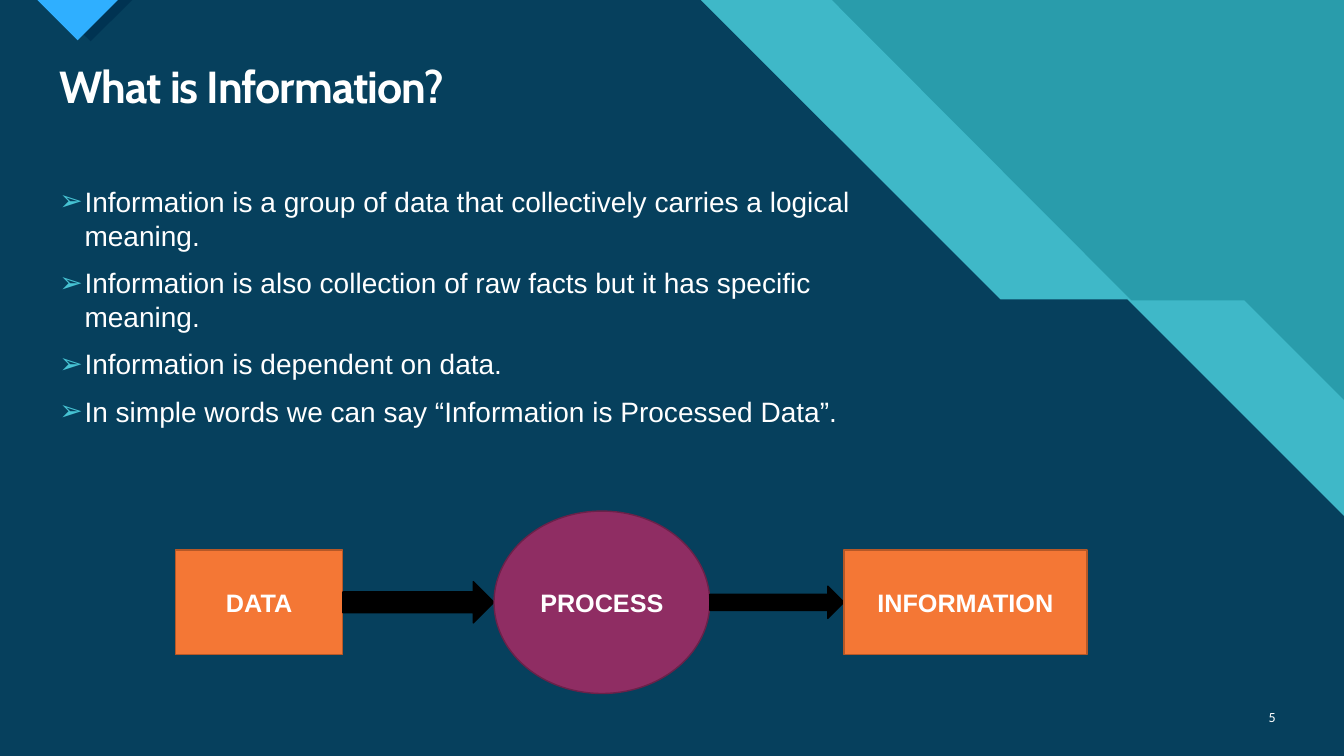
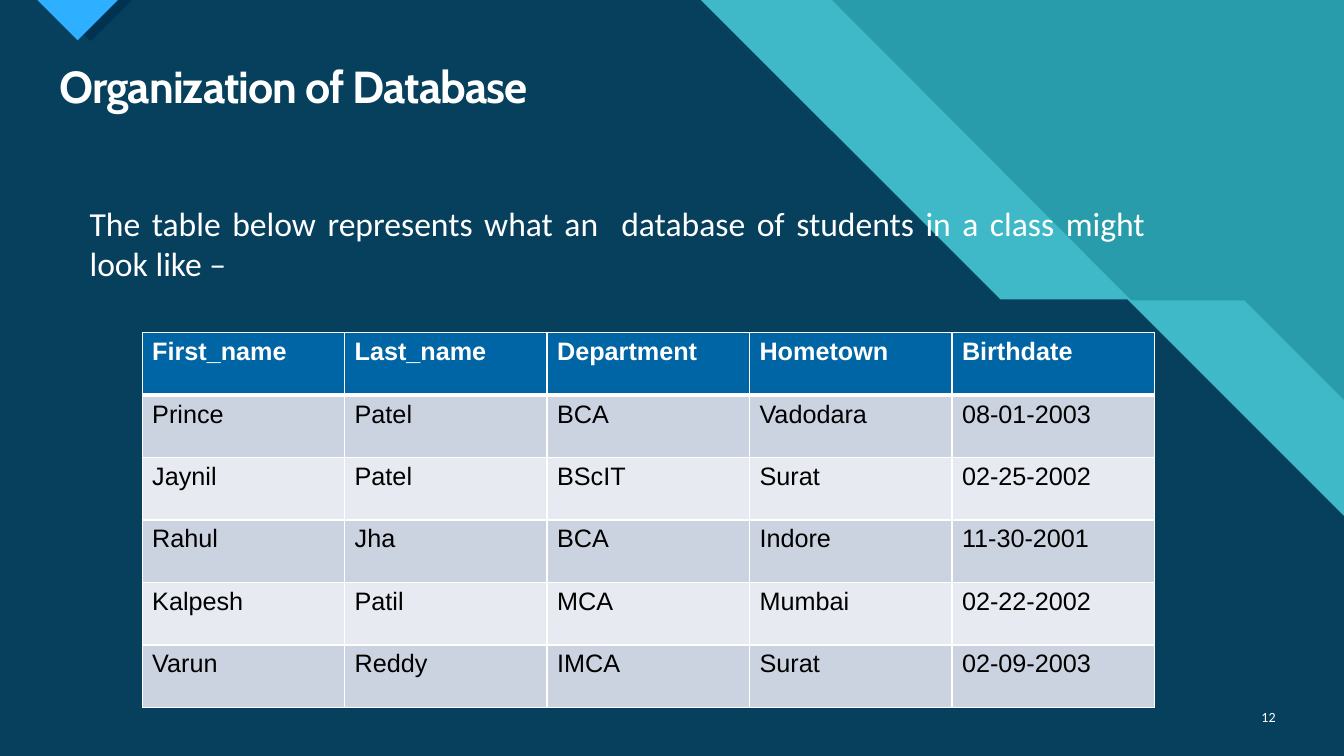
from lxml import etree
from pptx import Presentation
from pptx.dml.color import RGBColor
from pptx.enum import shapes, text
from pptx.oxml import ns
from pptx.util import Inches, Pt

WIDTH, HEIGHT = 13.33, 7.5
WHITE, BLACK = "FFFFFF", "000000"
TEAL, AQUA, NAVY, SKY = "299CAB", "47C3D3", "003352", "2FAFFF"
ORANGE, RUST, PLUM, WINE = "F47735", "B55827", "8F2D63", "6A2149"
HEADER, ROW_DARK, ROW_LIGHT = "0065A4", "CCD3E0", "E7EAF0"

LIGHT_BAND = [(0, 0), (8.25, 0), (11.22, 2.98), (12.34, 2.98), (WIDTH, 3.97),
              (WIDTH, HEIGHT), (0, HEIGHT)]
DARK_FIELD = [(0, 0), (6.95, 0), (9.92, 2.97), (11.18, 2.97), (WIDTH, 5.12),
              (WIDTH, HEIGHT), (0, HEIGHT)]
TAB_SHADOW = [(0.48, 0), (1.31, 0), (0.9, 0.41)]
TAB = [(0.37, 0), (1.17, 0), (0.77, 0.4)]

POINTS = [
    "Information is a group of data that collectively carries a logical meaning.",
    "Information is also collection of raw facts but it has specific meaning.",
    "Information is dependent on data.",
    "In simple words we can say “Information is Processed Data”.",
]
STUDENTS = [
    ("First_name", "Last_name", "Department", "Hometown", "Birthdate"),
    ("Prince", "Patel", "BCA", "Vadodara", "08-01-2003"),
    ("Jaynil", "Patel", "BScIT", "Surat", "02-25-2002"),
    ("Rahul", "Jha", "BCA", "Indore", "11-30-2001"),
    ("Kalpesh", "Patil", "MCA", "Mumbai", "02-22-2002"),
    ("Varun", "Reddy", "IMCA", "Surat", "02-09-2003"),
]
FLOW = [
    (shapes.MSO_SHAPE.RECTANGLE, 1.66, 1.04, ORANGE, RUST, "DATA"),
    (shapes.MSO_SHAPE.RIGHT_ARROW, 1.5, 0.41, BLACK, BLACK, ""),
    (shapes.MSO_SHAPE.OVAL, 2.14, 1.81, PLUM, WINE, "PROCESS"),
    (shapes.MSO_SHAPE.RIGHT_ARROW, 1.33, 0.32, BLACK, BLACK, ""),
    (shapes.MSO_SHAPE.RECTANGLE, 2.41, 1.04, ORANGE, RUST, "INFORMATION"),
]


def rgb(value):
    return RGBColor.from_string(value)


def child(parent, tag, **attrs):
    return etree.SubElement(parent, ns.qn(tag), attrs)


def add_run(p, content, size, font, color=WHITE, bold=False):
    r = p.add_run()
    r.text = content
    r.font.size = Pt(size)
    r.font.name = font
    r.font.bold = bold
    r.font.color.rgb = rgb(color)
    return r


def add_textbox(s, box):
    tf = s.shapes.add_textbox(*map(Inches, box)).text_frame
    tf.word_wrap = True
    return tf


def space(p):
    p.space_before, p.space_after = Pt(6), Pt(4)


def add_polygon(s, points, color, opacity=100):
    start, *rest = [(Inches(x), Inches(y)) for x, y in points]
    builder = s.shapes.build_freeform(*start)
    builder.add_line_segments(rest)
    sp = builder.convert_to_shape()
    sp.shadow.inherit = False
    sp.line.fill.background()
    sp.fill.solid()
    sp.fill.fore_color.rgb = rgb(color)
    if opacity < 100:
        clr = sp.element.spPr.find(ns.qn("a:solidFill"))[0]
        child(clr, "a:alpha", val=str(opacity * 1000))


def add_backdrop(s):
    s.background.fill.solid()
    s.background.fill.fore_color.rgb = rgb(TEAL)
    add_polygon(s, LIGHT_BAND, AQUA, 74)
    add_polygon(s, DARK_FIELD, NAVY, 90)
    add_polygon(s, TAB_SHADOW, NAVY)
    add_polygon(s, TAB, SKY)


def add_title(s, content, box):
    sp = s.shapes.title
    sp.left, sp.top, sp.width, sp.height = map(Inches, box)
    tf = sp.text_frame
    tf.vertical_anchor = text.MSO_ANCHOR.MIDDLE
    p = tf.paragraphs[0]
    p.alignment = text.PP_ALIGN.LEFT
    p.line_spacing = 0.9
    r = add_run(p, content, 32, "Cabin", bold=True)
    r.font._element.set("spc", "-70")


def add_number(s, number, box):
    tf = add_textbox(s, box)
    tf.vertical_anchor = text.MSO_ANCHOR.MIDDLE
    p = tf.paragraphs[0]
    p.alignment = text.PP_ALIGN.RIGHT
    add_run(p, str(number), 10, "Calibri")


def add_slide(prs, title, number):
    s = prs.slides.add_slide(prs.slide_layouts[5])
    add_backdrop(s)
    s.shapes.element.append(s.shapes.title.element)
    add_title(s, title, (0.49, 0.59, 12.26, 0.59))
    add_number(s, number, (12.31, 6.91, 0.44, 0.4))
    return s


def add_bullets(s, items, box):
    tf = add_textbox(s, box)
    for i, item in enumerate(items):
        p = tf.add_paragraph() if i else tf.paragraphs[0]
        space(p)
        pPr = p._p.get_or_add_pPr()
        pPr.set("marL", str(Inches(0.25)))
        pPr.set("indent", str(-Inches(0.25)))
        child(child(pPr, "a:buClr"), "a:srgbClr", val=AQUA)
        child(pPr, "a:buFont", typeface="Arial")
        child(pPr, "a:buChar", char="➢")
        add_run(p, item, 20, "Arial")


def add_flow(s, steps, box):
    x, top, _, height = box
    for kind, w, h, fill, line, label in steps:
        place = (x, top + (height - h) / 2, w, h)
        sp = s.shapes.add_shape(kind, *map(Inches, place))
        sp.shadow.inherit = False
        sp.fill.solid()
        sp.fill.fore_color.rgb = rgb(fill)
        sp.line.color.rgb = rgb(line)
        sp.line.width = Pt(1)
        if label:
            tf = sp.text_frame
            tf.vertical_anchor = text.MSO_ANCHOR.MIDDLE
            p = tf.paragraphs[0]
            p.alignment = text.PP_ALIGN.CENTER
            add_run(p, label, 18, "Arial", bold=True)
        x += w


def add_intro(s, content, box):
    p = add_textbox(s, box).paragraphs[0]
    p.alignment = text.PP_ALIGN.JUSTIFY
    space(p)
    add_run(p, content, 24, "Calibri")


def set_borders(cell, widths):
    tcPr = cell._tc.get_or_add_tcPr()
    for side, width in zip("LRTB", widths):
        ln = child(tcPr, f"a:ln{side}", w=str(Pt(width)))
        child(child(ln, "a:solidFill"), "a:srgbClr", val=WHITE)


def add_records(s, rows, box):
    frame = s.shapes.add_table(len(rows), len(rows[0]), *map(Inches, box))
    table = frame.table
    for i, row in enumerate(rows):
        head = i == 0
        fill = HEADER if head else ROW_DARK if i % 2 else ROW_LIGHT
        for j, value in enumerate(row):
            cell = table.cell(i, j)
            set_borders(cell, (1, 1, 3 if i == 1 else 1, 3 if head else 1))
            cell.fill.solid()
            cell.fill.fore_color.rgb = rgb(fill)
            add_run(cell.text_frame.paragraphs[0], value, 18, "Arial",
                    WHITE if head else BLACK, head)


def information_slide(prs):
    s = add_slide(prs, "What is Information?", 5)
    add_bullets(s, POINTS, (0.49, 1.78, 8.83, 3.41))
    add_flow(s, FLOW, (1.74, 5.07, 9.04, 1.81))


def database_slide(prs):
    s = add_slide(prs, "Organization of Database", 12)
    add_intro(s, "The table below represents what an  database of students "
                 "in a class might look like –", (0.79, 1.96, 10.67, 0.97))
    add_records(s, STUDENTS, (1.41, 3.3, 10.04, 3.72))


def main():
    prs = Presentation()
    prs.slide_width, prs.slide_height = Inches(WIDTH), Inches(HEIGHT)
    information_slide(prs)
    database_slide(prs)
    prs.save("out.pptx")


if __name__ == "__main__":
    main()
